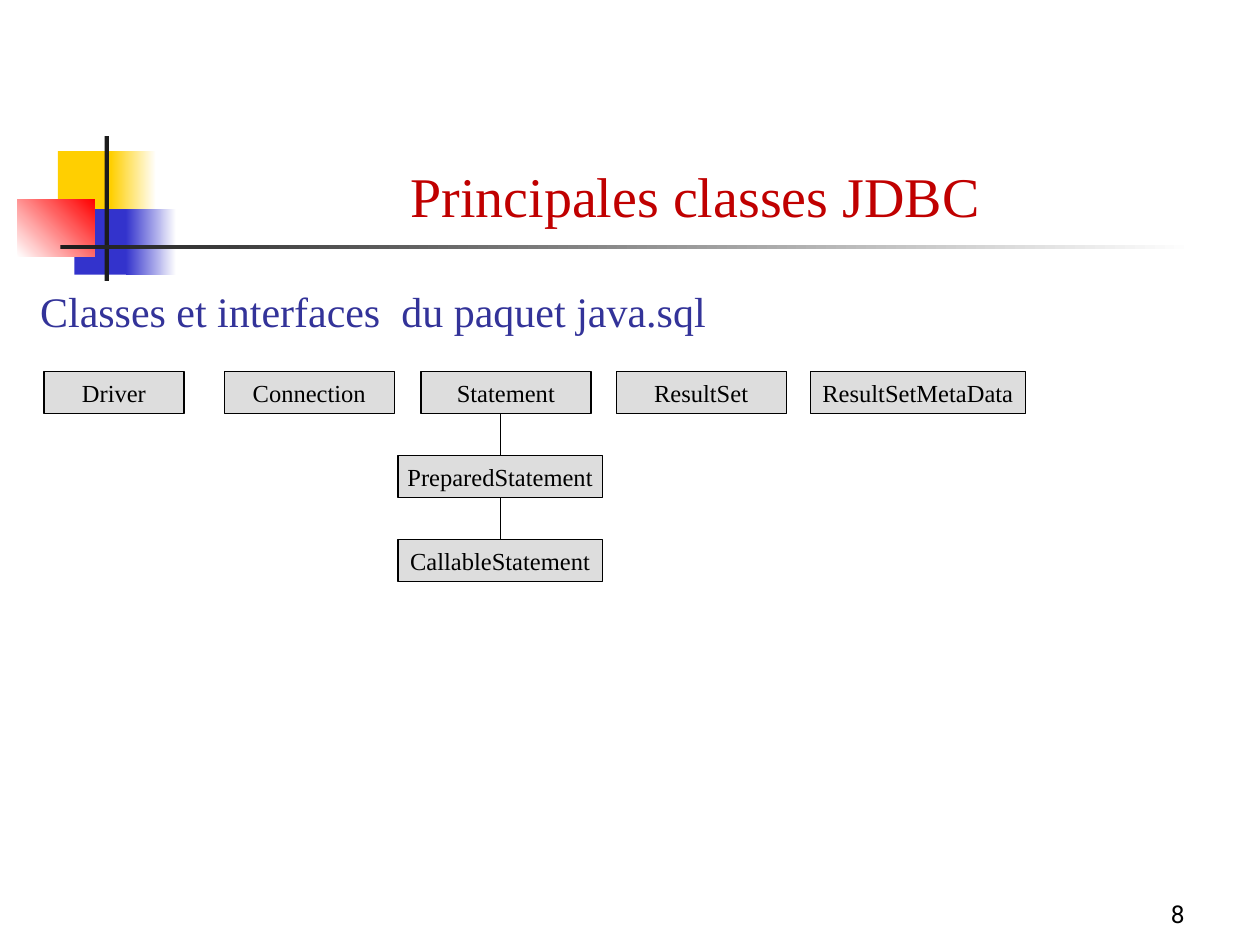
from pptx import Presentation
from pptx import util as u
from pptx.dml.color import RGBColor
from pptx.enum import shapes, text
from pptx.oxml.ns import qn
from lxml import etree

WHITE = RGBColor(0xFF, 0xFF, 0xFF)
BLACK = RGBColor(0, 0, 0)
CHARCOAL = RGBColor(0x1C, 0x1C, 0x1C)
YELLOW = RGBColor(0xFF, 0xCF, 0x01)
BLUE = RGBColor(0x33, 0x33, 0xCC)
RED = RGBColor(0xFF, 0, 0)
GREY = RGBColor(0xDD, 0xDD, 0xDD)
INDIGO = RGBColor(0x33, 0x33, 0x99)
CRIMSON = RGBColor(0xC0, 0, 0)

COLS, ROWS = 100, 75
BOX_TOP, BOX_H, BOX_STEP = 29.5, 3.33, 6.66


class Deck:
    serif = "Times New Roman"
    sans = "Roboto"
    line_width = u.Pt(0.75)

    def __init__(self):
        self.prs = Presentation()
        self.prs.slide_width, self.prs.slide_height = u.Inches(10), u.Inches(7.5)
        self.s = self.prs.slides.add_slide(self.prs.slide_layouts[5])

    def x(self, cols):
        return round(self.prs.slide_width * cols / COLS)

    def y(self, rows):
        return round(self.prs.slide_height * rows / ROWS)

    def place(self, left, top, width, height):
        return self.x(left), self.y(top), self.x(width), self.y(height)

    def add_text(self, sp, words, size, color, align, anchor, font=serif, wrap=True):
        tf = sp.text_frame
        tf.auto_size = text.MSO_AUTO_SIZE.NONE
        tf.word_wrap = wrap
        tf.vertical_anchor = anchor
        p = tf.paragraphs[0]
        p.alignment = align
        r = p.add_run()
        r.text = words
        r.font.name, r.font.size = font, u.Pt(size)
        r.font.color.rgb = color

    def title(self, words, *at):
        sp = self.s.shapes.title
        sp.left, sp.top, sp.width, sp.height = self.place(*at)
        self.add_text(sp, words, 32, CRIMSON, text.PP_ALIGN.CENTER, text.MSO_ANCHOR.TOP)

    def label(self, words, at, size, color, align, anchor, font=serif):
        sp = self.s.shapes.add_textbox(*self.place(*at))
        self.add_text(sp, words, size, color, align, anchor, font)

    def rect(self, at, color, end=None, angle=0):
        sp = self.s.shapes.add_shape(shapes.MSO_SHAPE.RECTANGLE, *self.place(*at))
        sp.shadow.inherit = False
        sp.line.fill.background()
        if end is None:
            sp.fill.solid()
            sp.fill.fore_color.rgb = color
        else:
            sp.fill.gradient()
            sp.fill.gradient_angle = angle
            for stop, rgb in zip(sp.fill.gradient_stops, (color, end)):
                stop.color.rgb = rgb
        return sp

    def class_box(self, name, left, width, level=0):
        sp = self.rect((left, BOX_TOP + level * BOX_STEP, width, BOX_H), GREY)
        sp.line.color.rgb = BLACK
        sp.line.width = self.line_width
        self.add_text(sp, name, 14, BLACK, text.PP_ALIGN.CENTER,
                      text.MSO_ANCHOR.MIDDLE, wrap=False)
        return sp

    def link(self, parent, child, joined=True):
        middle = child.left + child.width // 2
        c = self.s.shapes.add_connector(
            shapes.MSO_CONNECTOR.STRAIGHT,
            middle, parent.top + parent.height, middle, child.top)
        if joined:
            c.begin_connect(parent, 2)
        c.end_connect(child, 0)
        c.line.color.rgb = BLACK
        c.line.width = self.line_width
        etree.SubElement(c.element.spPr, qn("a:effectLst"))


def main():
    d = Deck()
    d.rect((4.6, 12, 4.8, 5.2), YELLOW)
    d.rect((8.8, 12, 3.6, 5.2), YELLOW, WHITE)
    d.rect((5.9, 16.6, 4.6, 5.2), BLUE)
    d.rect((10, 16.6, 4, 5.2), BLUE, WHITE)
    d.rect((1.4, 15.8, 6.1, 4.6), WHITE, RED, 45)
    d.rect((8.3, 10.8, 0.35, 11.5), CHARCOAL)
    d.rect((4.8, 19.45, 90, 0.35), CHARCOAL, WHITE)

    d.label("8", (74.2, 69.2, 20.8, 5), 14, BLACK,
            text.PP_ALIGN.RIGHT, text.MSO_ANCHOR.BOTTOM, d.sans)

    boxes = {}
    for name, left, width in (
            ("Driver", 3.5, 11.1), ("Connection", 17.8, 13.5),
            ("Statement", 33.4, 13.5), ("ResultSet", 48.9, 13.5),
            ("ResultSetMetaData", 64.3, 17.1)):
        boxes[name] = d.class_box(name, left, width)

    prepared, callable_box = [
        d.class_box(name, 31.6, 16.2, level)
        for level, name in enumerate(("PreparedStatement", "CallableStatement"), 1)]
    d.link(boxes["Statement"], prepared, joined=False)
    d.link(prepared, callable_box)

    d.label("Classes et interfaces  du paquet java.sql", (2.2, 22.2, 65.9, 5), 24,
            INDIGO, text.PP_ALIGN.LEFT, text.MSO_ANCHOR.TOP)
    d.title("Principales classes JDBC", 12.6, 12.3, 85.2, 12.5)
    d.prs.save("out.pptx")


if __name__ == "__main__":
    main()
